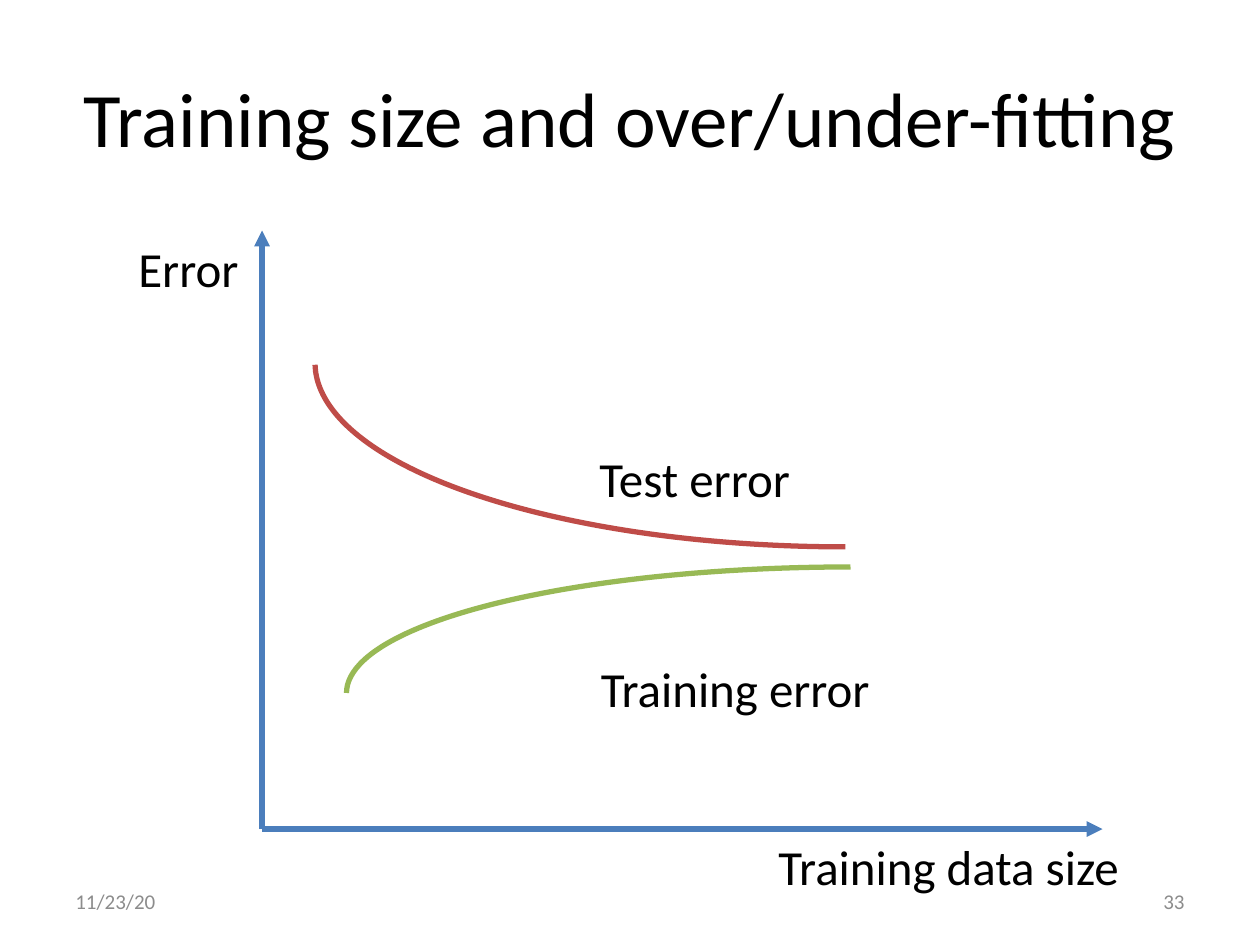
from pptx import Presentation
from pptx.dml.color import RGBColor
from pptx.enum.shapes import MSO_CONNECTOR as Link, MSO_SHAPE as Shape
from pptx.enum.text import MSO_ANCHOR as Anchor, PP_ALIGN as Align
from pptx.oxml.ns import qn
from pptx.util import Inches, Pt
from lxml.etree import SubElement

BLACK, GRAY = "000000", "8C8C8C"
BLUE, RED, GREEN = "4B7EBC", "BF4C48", "98B955"


def color(code):
    return RGBColor.from_string(code)


def style(para, size, code, align):
    para.alignment = align
    font = para.font
    font.name, font.size = "Calibri", Pt(size)
    font.color.rgb = color(code)


def stroke(line, code):
    line.color.rgb = color(code)
    line.width = Pt(3)


def label(slide, text, x, y, w, h=0.57, size=28, code=BLACK,
          align=Align.LEFT, anchor=Anchor.TOP, wrap=False):
    box = slide.shapes.add_textbox(*map(Inches, (x, y, w, h)))
    frame = box.text_frame
    frame.word_wrap, frame.vertical_anchor = wrap, anchor
    frame.text = text
    style(frame.paragraphs[0], size, code, align)


def axis(slide, x1, y1, x2, y2):
    line = slide.shapes.add_connector(
        Link.STRAIGHT, *map(Inches, (x1, y1, x2, y2)))
    stroke(line.line, BLUE)
    SubElement(line.line._get_or_add_ln(), qn("a:tailEnd"), type="triangle")
    SubElement(line._element.spPr, qn("a:effectLst"))


def curve(slide, x, y, w, h, code, end, flip=False):
    arc = slide.shapes.add_shape(Shape.ARC, *map(Inches, (x, y, w, h)))
    arc.shadow.inherit = False
    arc.fill.background()
    stroke(arc.line, code)
    arc.adjustments[0], arc.adjustments[1] = 162, end
    arc.rotation = 180
    if flip:
        arc._element.spPr.xfrm.set("flipV", "1")


def heading(slide, x, y, w, h):
    title = slide.shapes.title
    title.left, title.top, title.width, title.height = map(
        Inches, (x, y, w, h))
    title.text_frame.text = "Training size and over/under-fitting"
    title.text_frame.vertical_anchor = Anchor.MIDDLE
    style(title.text_frame.paragraphs[0], 44, BLACK, Align.CENTER)


def graph(slide, x, y, w, h):
    base = y + h
    # Axes
    axis(slide, x, base, x, y)
    axis(slide, x, base, x + w, base)
    label(slide, "Error", x - 1.08, y + 0.01, 1)
    label(slide, "Training data size", x + 4, base + 0.01, 2.93)
    # Curves that close in on each other
    curve(slide, x + 0.42, y - 0.41, 8.42, 2.92, RED, 215.88)
    label(slide, "Test error", x + 2.58, y + 1.68, 1.73)
    curve(slide, x + 0.67, y + 2.67, 8, 2, GREEN, 0, flip=True)
    label(slide, "Training error", x + 2.59, y + 3.35, 2.36)


def footer(slide, x, y, w, h):
    part = 2.33
    for text, left, align in (("11/23/20", x, Align.LEFT),
                              ("33", x + w - part, Align.RIGHT)):
        label(slide, text, left, y, part, h, 12, GRAY, align,
              Anchor.MIDDLE, True)


def main():
    deck = Presentation()
    deck.slide_width, deck.slide_height = Inches(10), Inches(7.5)
    slide = deck.slides.add_slide(deck.slide_layouts[5])
    heading(slide, 0.5, 0.3, 9, 1.25)
    footer(slide, 0.5, 6.95, 9, 0.4)
    graph(slide, 2.08, 1.83, 6.67, 4.75)
    deck.save("out.pptx")


if __name__ == "__main__":
    main()
